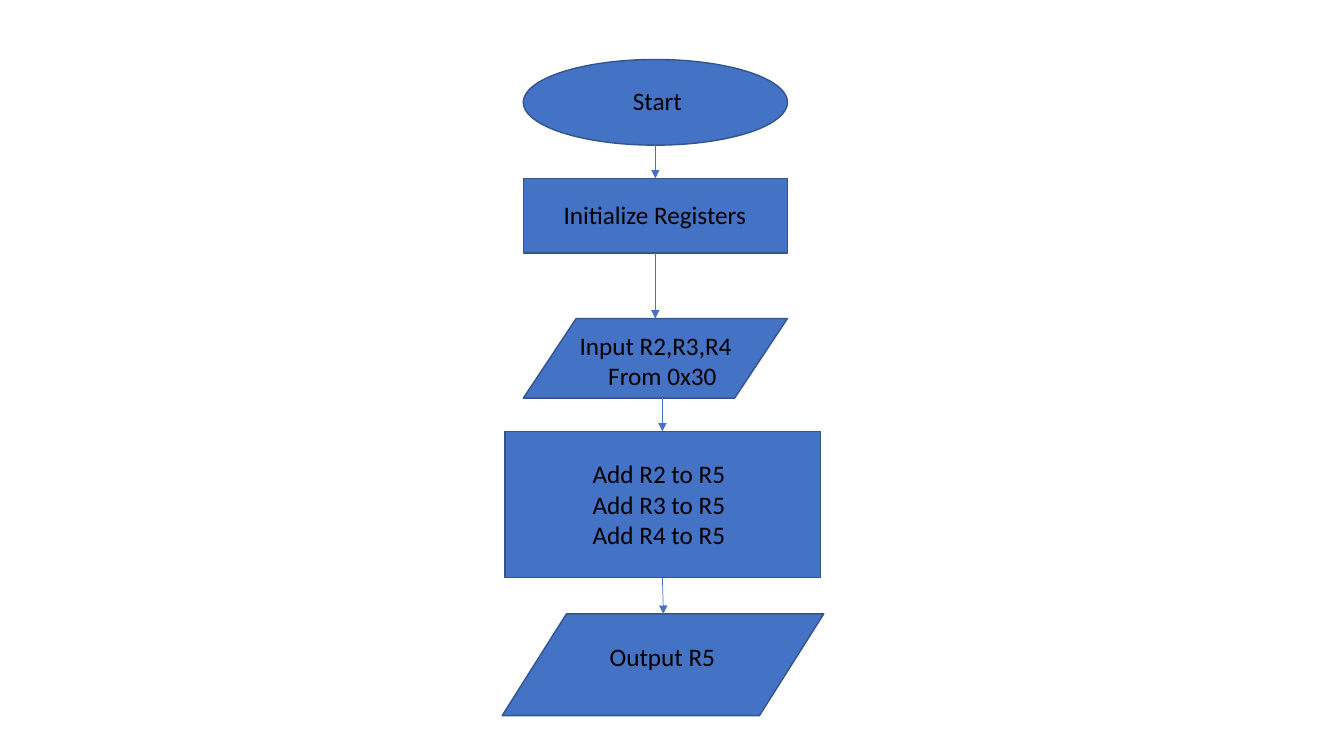
from pptx import Presentation
from pptx.dml.color import RGBColor
from pptx.enum.shapes import MSO_CONNECTOR, MSO_SHAPE
from pptx.enum.text import PP_ALIGN
from pptx.util import Inches, Pt
from lxml.etree import SubElement
from pptx.oxml.ns import qn


def color(value):
    return RGBColor.from_string(value)


prs = Presentation()
prs.slide_width = Inches(13.33)
prs.slide_height = Inches(7.5)
s = prs.slides.add_slide(prs.slide_layouts[6])

C, L = PP_ALIGN.CENTER, PP_ALIGN.LEFT
DATA = MSO_SHAPE.FLOWCHART_DATA
steps = [
    (MSO_SHAPE.OVAL, (5.19, 0.59, 2.62, 0.85), (5.62, 0.8, 1.8, 0.4),
     [("Start", C)]),
    (MSO_SHAPE.RECTANGLE, (5.19, 1.77, 2.62, 0.74), (5.31, 1.93, 2.37, 0.4),
     [("Initialize Registers", C)]),
    (DATA, (5.19, 3.16, 2.62, 0.79), (5.65, 3.23, 1.84, 0.71),
     [("Input R2,R3,R4", L), ("From 0x30", C)]),
    (MSO_SHAPE.RECTANGLE, (5.01, 4.28, 3.13, 1.45), (5.24, 4.5, 2.59, 1.01),
     [(f"Add R{n} to R5", C) for n in (2, 3, 4)]),
    (DATA, (4.98, 6.09, 3.19, 1.01), (5.65, 6.31, 1.84, 0.4),
     [("Output R5", C)]),
]

for kind, box, text_box, lines in steps:
    sp = s.shapes.add_shape(kind, *map(Inches, box))
    sp.shadow.inherit = False
    sp.fill.solid()
    sp.fill.fore_color.rgb = color("4472C4")
    sp.line.color.rgb = color("325491")
    sp.line.width = Pt(1)

    tf = s.shapes.add_textbox(*map(Inches, text_box)).text_frame
    tf.word_wrap = True
    for i, (text, align) in enumerate(lines):
        p = tf.add_paragraph() if i else tf.paragraphs[0]
        p.alignment = align
        r = p.add_run()
        r.text = text
        r.font.name = "Calibri"
        r.font.size = Pt(18)
        r.font.color.rgb = color("000000")

arrow_x = [(6.5, 6.5), (6.5, 6.5), (6.57, 6.57), (6.57, 6.58)]
for (x1, x2), above, below in zip(arrow_x, steps, steps[1:]):
    top, height = above[1][1], above[1][3]
    arrow = s.shapes.add_connector(
        MSO_CONNECTOR.STRAIGHT, Inches(x1), Inches(top + height),
        Inches(x2), Inches(below[1][1]))
    arrow.line.color.rgb = color("4472C4")
    arrow.line.width = Pt(0.5)
    SubElement(arrow.line._get_or_add_ln(), qn("a:tailEnd"), type="triangle")
    SubElement(arrow._element.spPr, qn("a:effectLst"))

prs.save("out.pptx")
